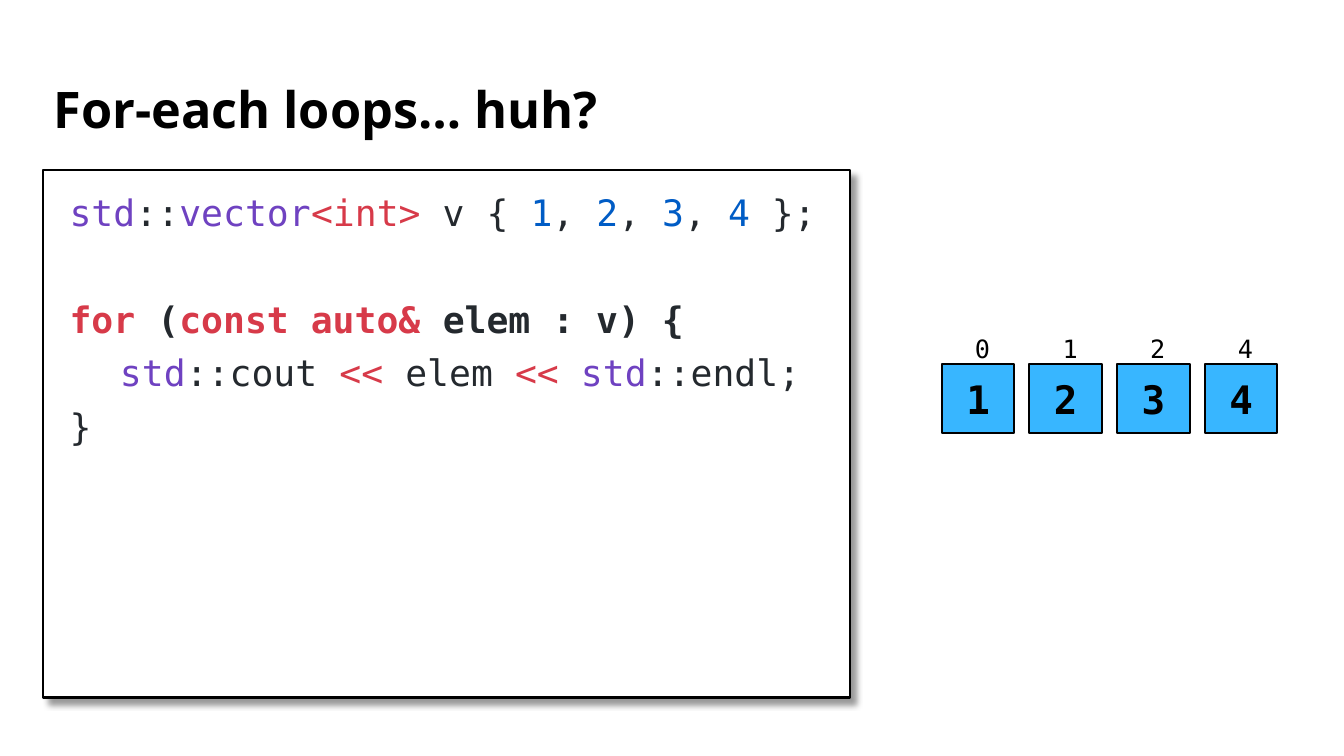
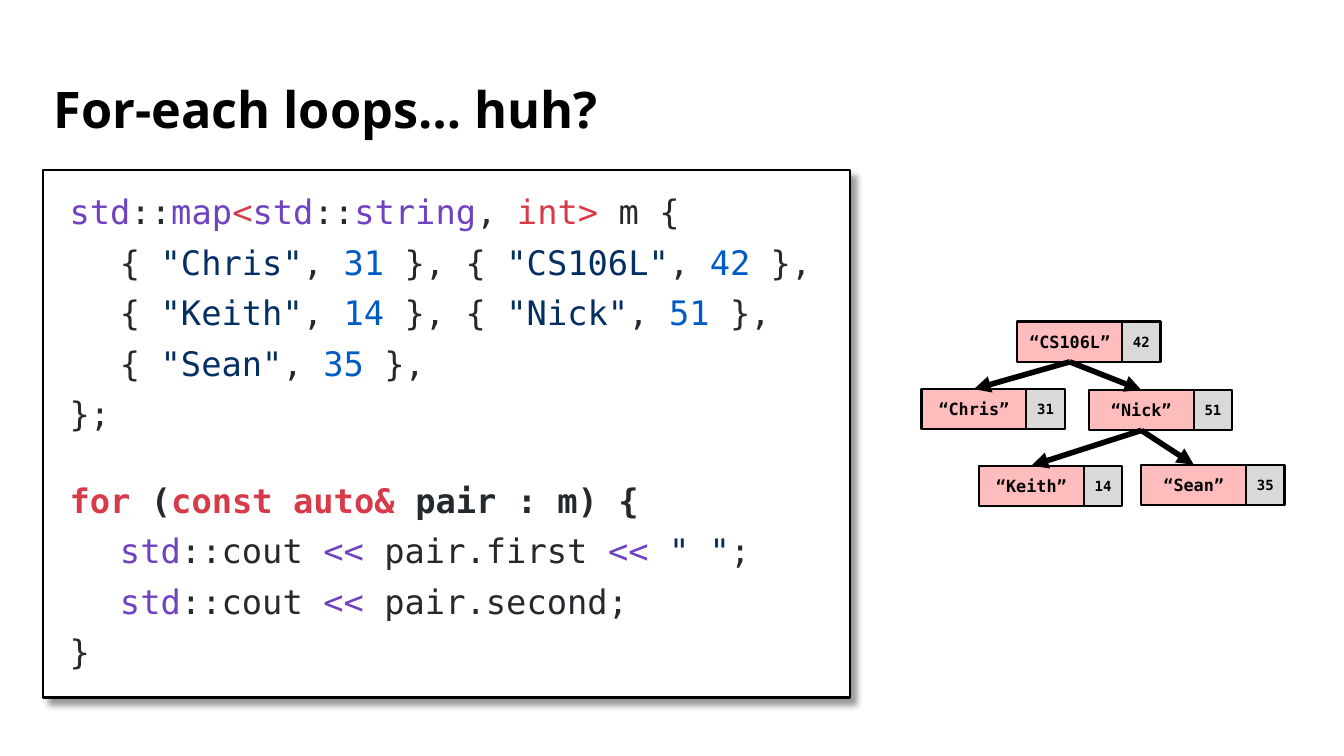
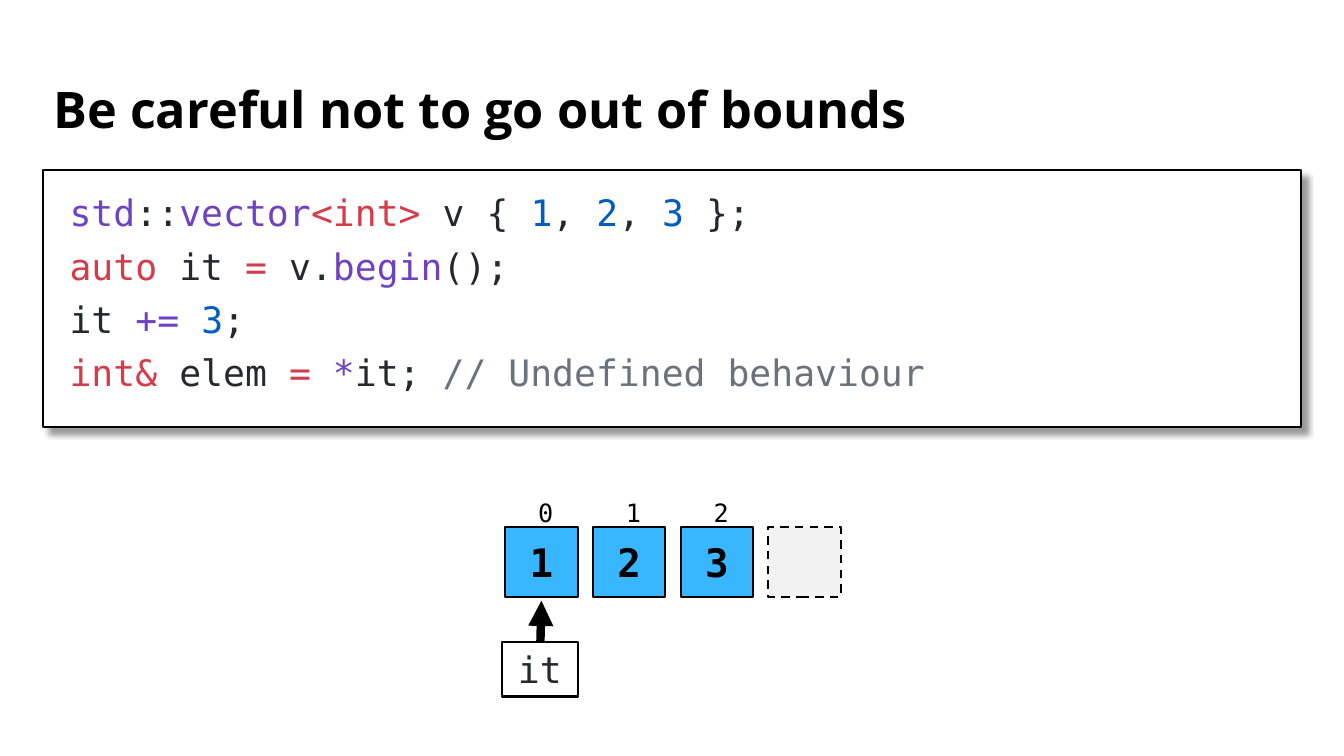
from dataclasses import dataclass
from typing import NamedTuple

from lxml.etree import SubElement
from pptx import Presentation
from pptx.dml.color import RGBColor
from pptx.enum.dml import MSO_LINE_DASH_STYLE as Dash
from pptx.enum.shapes import MSO_CONNECTOR as Connector, MSO_SHAPE as Shape
from pptx.enum.text import MSO_ANCHOR as Anchor, MSO_AUTO_SIZE as AutoSize, PP_ALIGN as Align
from pptx.oxml.ns import qn
from pptx.util import Inches, Pt

# Shared colours and fonts
BLACK = RGBColor(0x00, 0x00, 0x00)
WHITE = RGBColor(0xFF, 0xFF, 0xFF)
PLAIN = RGBColor(0x24, 0x29, 0x2E)
PURPLE = RGBColor(0x6F, 0x42, 0xC1)
RED = RGBColor(0xD7, 0x3A, 0x49)
NUMBER = RGBColor(0x00, 0x5C, 0xC5)
STRING = RGBColor(0x03, 0x2F, 0x62)
COMMENT = RGBColor(0x6A, 0x73, 0x7D)
CELL_BLUE = RGBColor(0x38, 0xB6, 0xFF)
CELL_EMPTY = RGBColor(0xF2, 0xF2, 0xF2)
KEY_PINK = RGBColor(0xFF, 0xBC, 0xBC)
VALUE_GRAY = RGBColor(0xD9, 0xD9, 0xD9)
TITLE_FONT = "Open Sans"
CODE_FONT = "DejaVu Sans Mono"

# Shared measures, in inches unless named otherwise
LEFT, FULL_WIDTH = 0.43, 12.47
OUTLINE_POINTS = 1.5
LINE_GAP_POINTS = 10
CODE_INDENT = 0.5
CELL_WIDTH, CELL_HEIGHT, CELL_PITCH = 0.72, 0.69, 0.87
KEY_WIDTH, VALUE_WIDTH, NODE_HEIGHT = 1.04, 0.38, 0.4


class Area(NamedTuple):
    left: float
    top: float
    width: float
    height: float

    def lengths(self):
        return [Inches(value) for value in self]


class Point(NamedTuple):
    x: float
    y: float


class Span(NamedTuple):
    text: str
    color: RGBColor = PLAIN


@dataclass(frozen=True)
class CodeLine:
    spans: list[Span]
    indented: bool = False
    bold: bool = False
    gap_before: float = LINE_GAP_POINTS


@dataclass(frozen=True)
class Node:
    key: str
    value: str
    left: float
    top: float

    @property
    def top_middle(self) -> Point:
        return Point(self.left + KEY_WIDTH / 2, self.top)

    @property
    def bottom_middle(self) -> Point:
        return Point(self.left + KEY_WIDTH / 2, self.top + NODE_HEIGHT)


# Code phrases that recur
STD = [Span("std", PURPLE), Span("::")]


def vector_line(values: list[str]) -> CodeLine:
    spans = [*STD, Span("vector", PURPLE), Span("<int>", RED), Span(" v { ")]
    for position, value in enumerate(values):
        if position:
            spans.append(Span(", "))
        spans.append(Span(value, NUMBER))
    return CodeLine([*spans, Span(" };")])


def entries_line(entries: list[tuple[str, str]]) -> CodeLine:
    spans = [Span("{ ")]
    for position, (key, value) in enumerate(entries):
        if position:
            spans.append(Span(" }, { "))
        spans += [Span(f'"{key}"', STRING), Span(", "), Span(value, NUMBER)]
    return CodeLine([*spans, Span(" },")], indented=True)


def for_line(variable: str, container: str, gap_before: float) -> CodeLine:
    spans = [Span("for", RED), Span(" ("), Span("const auto& ", RED),
             Span(f"{variable} : {container}) {{")]
    return CodeLine(spans, bold=True, gap_before=gap_before)


def cout_line(operator_color: RGBColor, rest: list[Span]) -> CodeLine:
    return CodeLine([*STD, Span("cout "), Span("<< ", operator_color), *rest], indented=True)


def add_span(para, text: str, font: str, size: float, color: RGBColor, bold: bool = False) -> None:
    span = para.add_run()
    span.text = text
    span.font.name = font
    span.font.size = Pt(size)
    span.font.bold = bold
    span.font.color.rgb = color


def place(shape, area: Area) -> None:
    shape.left, shape.top, shape.width, shape.height = area.lengths()


def set_outline(shape) -> None:
    shape.line.color.rgb = BLACK
    shape.line.width = Pt(OUTLINE_POINTS)


def add_soft_shadow(shape) -> None:
    effects = SubElement(shape._element.spPr, qn("a:effectLst"))
    shadow = SubElement(effects, qn("a:outerShdw"), blurRad=str(Pt(4)), dist=str(Pt(6)),
                        dir=str(45 * 60000), algn="tl", rotWithShape="0")
    color = SubElement(shadow, qn("a:srgbClr"), val=str(BLACK))
    SubElement(color, qn("a:alpha"), val="40000")


def fill_title(title, text: str) -> None:
    place(title, Area(LEFT, 0.69, FULL_WIDTH, 0.84))
    frame = title.text_frame
    frame.auto_size = AutoSize.NONE
    frame.vertical_anchor = Anchor.MIDDLE
    para = frame.paragraphs[0]
    para.alignment = Align.LEFT
    para.line_spacing = 0.9
    add_span(para, text, TITLE_FONT, 36, BLACK, bold=True)


def fill_code(body, area: Area, lines: list[CodeLine], size: float) -> None:
    place(body, area)
    body.fill.solid()
    body.fill.fore_color.rgb = WHITE
    set_outline(body)
    add_soft_shadow(body)
    frame = body.text_frame
    frame.auto_size = AutoSize.NONE
    frame.word_wrap = True
    frame.vertical_anchor = Anchor.TOP
    frame.margin_left = frame.margin_right = Inches(0.25)
    frame.margin_top = frame.margin_bottom = Inches(0.25)
    for position, line in enumerate(lines):
        para = frame.add_paragraph() if position else frame.paragraphs[0]
        properties = para._p.get_or_add_pPr()
        properties.set("marL", str(Inches(0.01 + CODE_INDENT * line.indented)))
        properties.set("indent", "0")
        SubElement(properties, qn("a:buNone"))
        para.line_spacing = 0.9
        para.space_before = Pt(line.gap_before if position else 0)
        for text, color in line.spans:
            add_span(para, text, CODE_FONT, size, color, line.bold)


def add_code_slide(deck, title: str, area: Area, lines: list[CodeLine], size: float = 26):
    page = deck.slides.add_slide(deck.slide_layouts[1])
    fill_title(page.shapes.title, title)
    fill_code(page.placeholders[1], area, lines, size)
    return page


def add_box(page, area: Area, fill: RGBColor | None, text: str = "", size: float = 28,
            color: RGBColor = BLACK, bold: bool = True):
    box = page.shapes.add_shape(Shape.RECTANGLE, *area.lengths())
    box.shadow.inherit = False
    if fill is None:
        box.fill.background()
    else:
        box.fill.solid()
        box.fill.fore_color.rgb = fill
    set_outline(box)
    if text:
        frame = box.text_frame
        frame.margin_left = frame.margin_right = 0
        frame.margin_top = frame.margin_bottom = 0
        frame.vertical_anchor = Anchor.MIDDLE
        para = frame.paragraphs[0]
        para.alignment = Align.CENTER
        add_span(para, text, CODE_FONT, size, color, bold)
    return box


def add_arrow(page, start: Point, end: Point, width: float) -> None:
    ends = [Inches(value) for value in (*start, *end)]
    arrow = page.shapes.add_connector(Connector.STRAIGHT, *ends)
    arrow.line.color.rgb = BLACK
    arrow.line.width = Pt(width)
    SubElement(arrow.line._get_or_add_ln(), qn("a:tailEnd"), type="triangle")
    SubElement(arrow._element.spPr, qn("a:effectLst"))


def cell_area(origin: Point, position: int) -> Area:
    return Area(origin.x + position * CELL_PITCH, origin.y, CELL_WIDTH, CELL_HEIGHT)


def add_vector(page, origin: Point, values: list[str], labels: list[str]) -> None:
    for position, (value, label) in enumerate(zip(values, labels)):
        area = cell_area(origin, position)
        add_box(page, area, CELL_BLUE, value)
        label_area = Area(area.left + 0.23, area.top - 0.35, 0.26, 0.3)
        index = page.shapes.add_textbox(*label_area.lengths())
        index.text_frame.word_wrap = True
        add_span(index.text_frame.paragraphs[0], label, CODE_FONT, 18, BLACK)


def add_tree(page, nodes: list[Node], edges: list[tuple[Node, Node]]) -> None:
    for node in nodes:
        add_box(page, Area(node.left, node.top, KEY_WIDTH, NODE_HEIGHT),
                KEY_PINK, f"“{node.key}”", 12)
        add_box(page, Area(node.left + KEY_WIDTH, node.top, VALUE_WIDTH, NODE_HEIGHT),
                VALUE_GRAY, node.value, 10)
    for parent, child in edges:
        add_arrow(page, parent.bottom_middle, child.top_middle, 4)


def build_vector_loop(deck) -> None:
    lines = [
        vector_line(["1", "2", "3", "4"]),
        for_line("elem", "v", gap_before=48),
        cout_line(RED, [Span("elem "), Span("<< ", RED), *STD, Span("endl;")]),
        CodeLine([Span("}")]),
    ]
    page = add_code_slide(deck, "For-each loops… huh?", Area(LEFT, 1.69, 8, 5.23), lines)
    add_vector(page, Point(9.34, 3.61), ["1", "2", "3", "4"], ["0", "1", "2", "4"])


def build_map_loop(deck) -> None:
    lines = [
        CodeLine([*STD, Span("map", PURPLE), Span("<", RED), *STD, Span("string", PURPLE),
                  Span(", "), Span("int>", RED), Span(" m {")]),
        entries_line([("Chris", "31"), ("CS106L", "42")]),
        entries_line([("Keith", "14"), ("Nick", "51")]),
        entries_line([("Sean", "35")]),
        CodeLine([Span("};")]),
        for_line("pair", "m", gap_before=36),
        cout_line(PURPLE, [Span("pair.first "), Span("<< ", PURPLE),
                           Span('" "', STRING), Span(";")]),
        cout_line(PURPLE, [Span("pair.second;")]),
        CodeLine([Span("}")]),
    ]
    page = add_code_slide(deck, "For-each loops… huh?", Area(LEFT, 1.69, 8, 5.23), lines, 24.1)
    root = Node("CS106L", "42", 10.09, 3.19)
    chris = Node("Chris", "31", 9.14, 3.86)
    nick = Node("Nick", "51", 10.8, 3.87)
    keith = Node("Keith", "14", 9.71, 4.62)
    sean = Node("Sean", "35", 11.32, 4.61)
    add_tree(page, [root, chris, nick, keith, sean],
             [(root, chris), (root, nick), (nick, keith), (nick, sean)])


def build_out_of_bounds(deck) -> None:
    lines = [
        vector_line(["1", "2", "3"]),
        CodeLine([Span("auto", RED), Span(" it "), Span("= ", RED), Span("v."),
                  Span("begin", PURPLE), Span("();")]),
        CodeLine([Span("it "), Span("+= ", PURPLE), Span("3", NUMBER), Span(";")]),
        CodeLine([Span("int& ", RED), Span("elem "), Span("= ", RED), Span("*", PURPLE),
                  Span("it;"), Span(" // Undefined behaviour", COMMENT)]),
    ]
    page = add_code_slide(deck, "Be careful not to go out of bounds",
                          Area(LEFT, 1.69, FULL_WIDTH, 2.55), lines)
    origin = Point(5.01, 5.23)
    add_vector(page, origin, ["1", "2", "3"], ["0", "1", "2"])
    past_end = add_box(page, cell_area(origin, 3), CELL_EMPTY)
    past_end.line.dash_style = Dash.DASH

    # Iterator pointing at the first cell
    add_box(page, Area(4.98, 6.37, 0.75, 0.54), None, "it", 26, PLAIN, bold=False)
    add_arrow(page, Point(5.36, 6.37), Point(5.37, 5.96), 6)


def main() -> None:
    deck = Presentation()
    deck.slide_width, deck.slide_height = Inches(13.33), Inches(7.5)
    build_vector_loop(deck)
    build_map_loop(deck)
    build_out_of_bounds(deck)
    deck.save("out.pptx")


if __name__ == "__main__":
    main()
